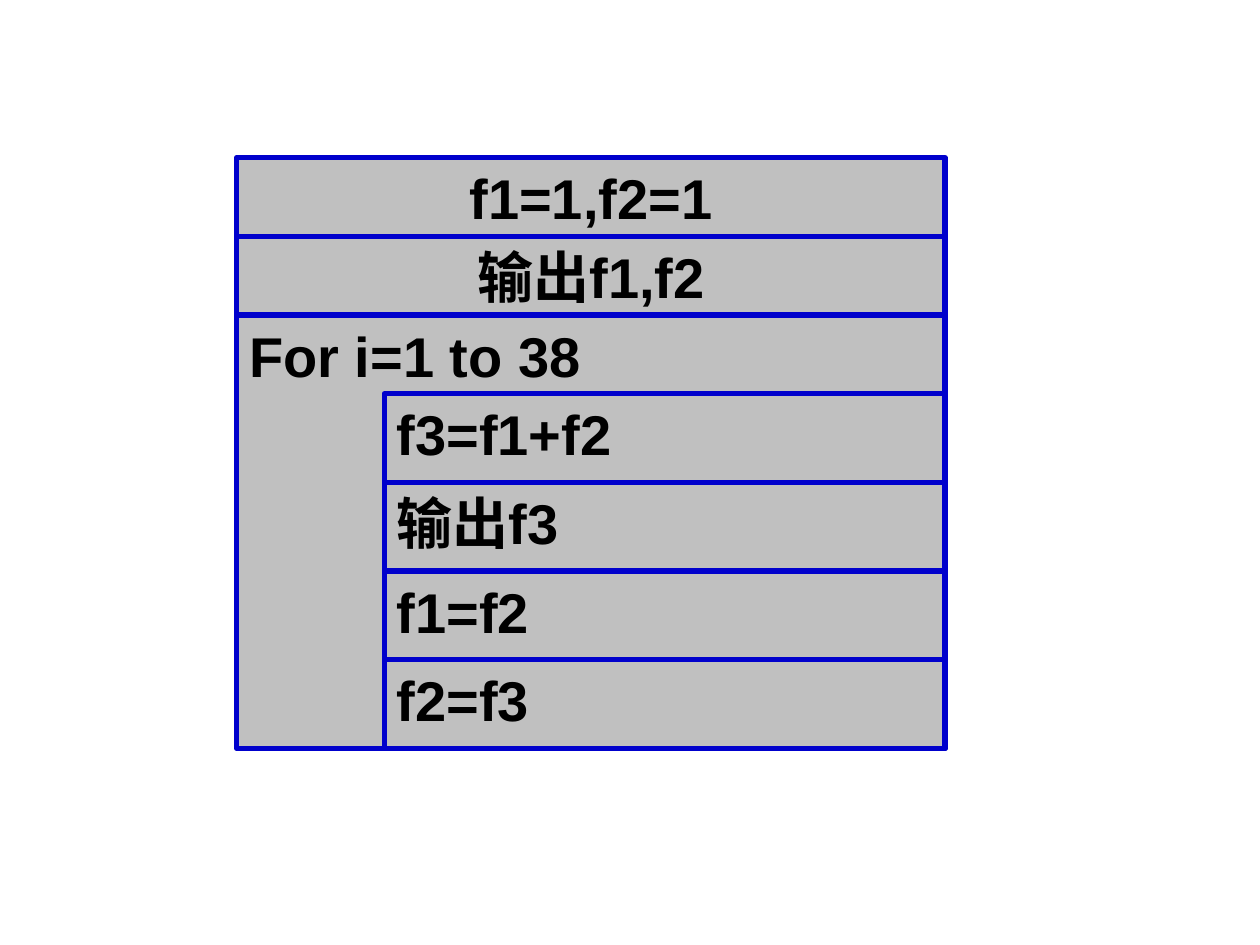
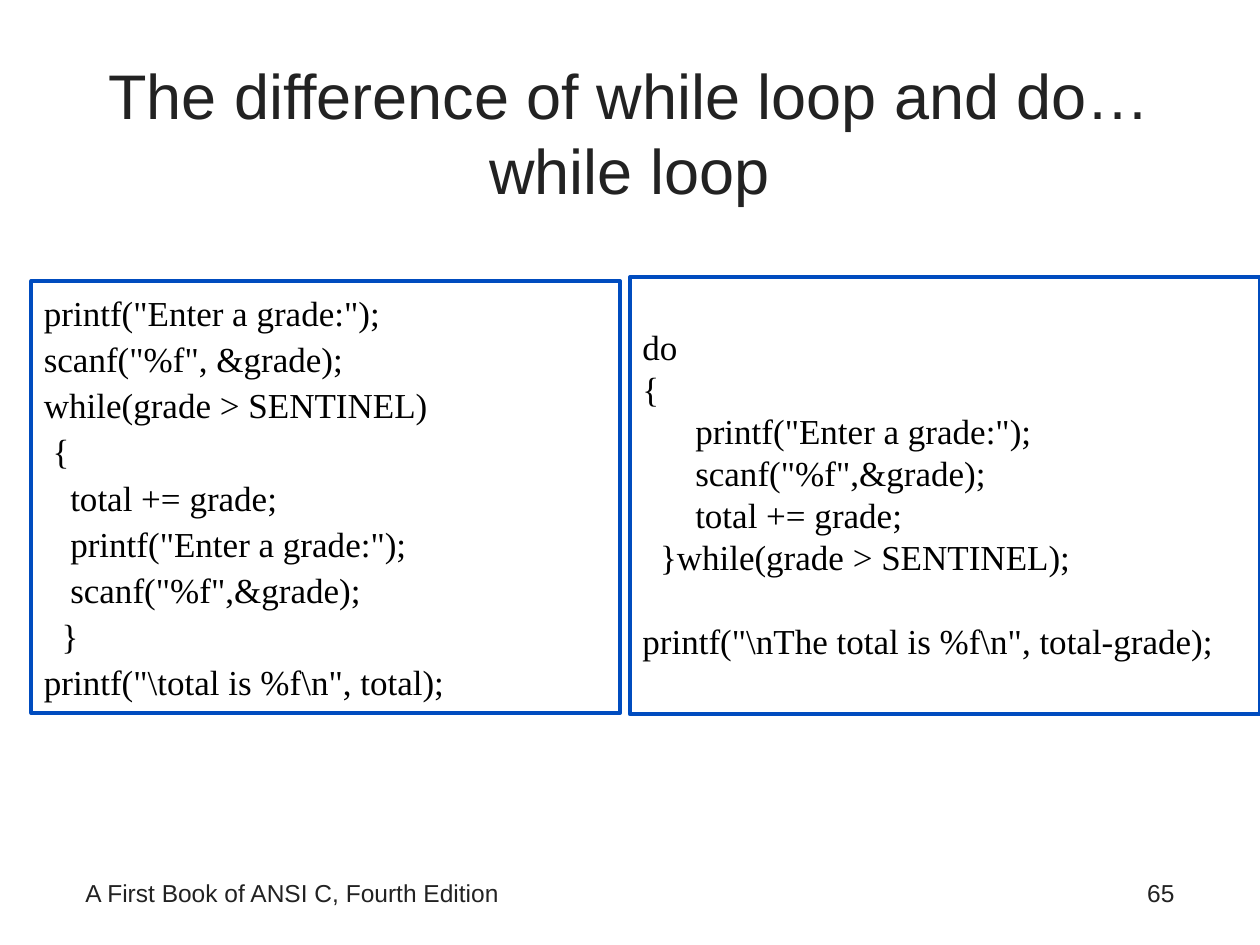
from pptx import Presentation
from pptx.dml.color import RGBColor
from pptx.enum.shapes import MSO_SHAPE
from pptx.enum.text import MSO_ANCHOR, PP_ALIGN
from pptx.util import Inches, Pt

RECT, PROCESS = MSO_SHAPE.RECTANGLE, MSO_SHAPE.FLOWCHART_PROCESS
LEFT, CENTER, RIGHT = PP_ALIGN.LEFT, PP_ALIGN.CENTER, PP_ALIGN.RIGHT
TOP, MIDDLE = MSO_ANCHOR.TOP, MSO_ANCHOR.MIDDLE

BLACK = RGBColor(0x00, 0x00, 0x00)
INK = RGBColor(0x22, 0x22, 0x22)
GREY = RGBColor(0xC0, 0xC0, 0xC0)
CHART_BLUE = RGBColor(0x00, 0x00, 0xCC)
CODE_BLUE = RGBColor(0x00, 0x4C, 0xBF)

CHART_FONT = {"name": "Arial", "size": Pt(32), "bold": True}
TITLE_FONT = {"name": "Arial", "size": Pt(36)}
FOOTER_FONT = {"name": "Arial", "size": Pt(14)}
CODE_FONT = {"name": "Times New Roman", "size": Pt(20)}
CODE_SPACE = 0.07   # width of one space in the code font
CODE_LINE = 24      # height of one code line in points

# Structure chart
SETUP = ["f1=1,f2=1", "输出f1,f2"]
LOOP_HEAD = "For i=1 to 38"
LOOP_BODY = ["f3=f1+f2", "输出f3", "f1=f2", "f2=f3"]
CHART_LEFT, CHART_TOP, CHART_W, CHART_H = 1.88, 1.25, 5.62, 4.69
ROW_H = 0.625
BODY_INDENT = 1.17

# Loop comparison: code lines as (indent in spaces, text, blank lines above)
TITLE = "The difference of while loop and do…while loop"
FOOTER = "A First Book of ANSI C, Fourth Edition"
PAGE = "65"
WHILE_CODE = [
    (0, 'printf("Enter a grade:");', 0),
    (0, 'scanf("%f", &grade);', 0),
    (0, "while(grade > SENTINEL)", 0),
    (1, "{", 0),
    (3, "total += grade;", 0),
    (3, 'printf("Enter a grade:");', 0),
    (3, 'scanf("%f",&grade);', 0),
    (2, "}", 0),
    (0, 'printf("\\total is %f\\n", total);', 0),
]
DO_CODE = [
    (0, "do", 0),
    (0, "{", 0),
    (6, 'printf("Enter a grade:");', 0),
    (6, 'scanf("%f",&grade);', 0),
    (6, "total += grade;", 0),
    (2, "}while(grade > SENTINEL);", 0),
    (0, 'printf("\\nThe total is %f\\n", total-grade);', 1),
]
# box, lines, line spacing, top inset
CODE_BOXES = [
    ((0.25, 2.23, 4.67, 3.43), WHILE_CODE, 1.1, 0.05),
    ((5, 2.2, 5, 3.47), DO_CODE, 1.0, 0.05 + CODE_LINE / 72),
]


def add_run(p, text, font, color, align=LEFT):
    p.alignment = align
    r = p.add_run()
    r.text = text
    for key, value in font.items():
        setattr(r.font, key, value)
    r.font.color.rgb = color


def add_box(shapes, kind, box, line, width, fill=None):
    sp = shapes.add_shape(kind, *map(Inches, box))
    sp.shadow.inherit = False
    if fill is None:
        sp.fill.background()
    else:
        sp.fill.solid()
        sp.fill.fore_color.rgb = fill
    sp.line.color.rgb = line
    sp.line.width = Pt(width)
    sp.text_frame.word_wrap = True
    sp.text_frame.vertical_anchor = TOP
    return sp


def add_label(slide, box, text, font, align=LEFT, anchor=TOP):
    tf = slide.shapes.add_textbox(*map(Inches, box)).text_frame
    tf.word_wrap = True
    tf.vertical_anchor = anchor
    add_run(tf.paragraphs[0], text, font, INK, align)


def add_cell(shapes, kind, box, text, align=LEFT):
    sp = add_box(shapes, kind, box, CHART_BLUE, 3, GREY)
    add_run(sp.text_frame.paragraphs[0], text, CHART_FONT, BLACK, align)


def add_code(slide, box, lines, spacing, top_inset):
    tf = add_box(slide.shapes, RECT, box, CODE_BLUE, 2.25).text_frame
    tf.margin_top = Inches(top_inset)
    for i, (indent, text, gap) in enumerate(lines):
        p = tf.add_paragraph() if i else tf.paragraphs[0]
        p.line_spacing = spacing
        p.space_before = Pt(gap * CODE_LINE)
        if indent:
            ppr = p._p.get_or_add_pPr()
            ppr.set("marL", str(Inches(indent * CODE_SPACE)))
            ppr.set("indent", "0")
        add_run(p, text, CODE_FONT, BLACK)


def build_structure_chart(slide):
    shapes = slide.shapes.add_group_shape().shapes
    for i, text in enumerate(SETUP):
        add_cell(shapes, RECT, (CHART_LEFT, CHART_TOP + i * ROW_H, CHART_W, ROW_H),
                 text, CENTER)
    loop_top = CHART_TOP + len(SETUP) * ROW_H
    bottom = CHART_TOP + CHART_H
    add_cell(shapes, RECT, (CHART_LEFT, loop_top, CHART_W, bottom - loop_top), LOOP_HEAD)
    body_top = loop_top + ROW_H
    step_h = (bottom - body_top) / len(LOOP_BODY)
    for i, text in enumerate(LOOP_BODY):
        add_cell(shapes, PROCESS, (CHART_LEFT + BODY_INDENT, body_top + i * step_h,
                                   CHART_W - BODY_INDENT, step_h), text)


def build_loop_comparison(slide):
    add_label(slide, (0.58, 0.42, 8.83, 1.25), TITLE, TITLE_FONT, CENTER, MIDDLE)
    add_label(slide, (0.58, 6.92, 6.42, 0.42), FOOTER, FOOTER_FONT)
    add_label(slide, (7.17, 6.92, 2.25, 0.42), PAGE, FOOTER_FONT, RIGHT)
    for code_box in CODE_BOXES:
        add_code(slide, *code_box)


def main():
    prs = Presentation()
    prs.slide_width, prs.slide_height = Inches(10), Inches(7.5)
    for build in (build_structure_chart, build_loop_comparison):
        build(prs.slides.add_slide(prs.slide_layouts[6]))
    prs.save("out.pptx")


if __name__ == "__main__":
    main()
